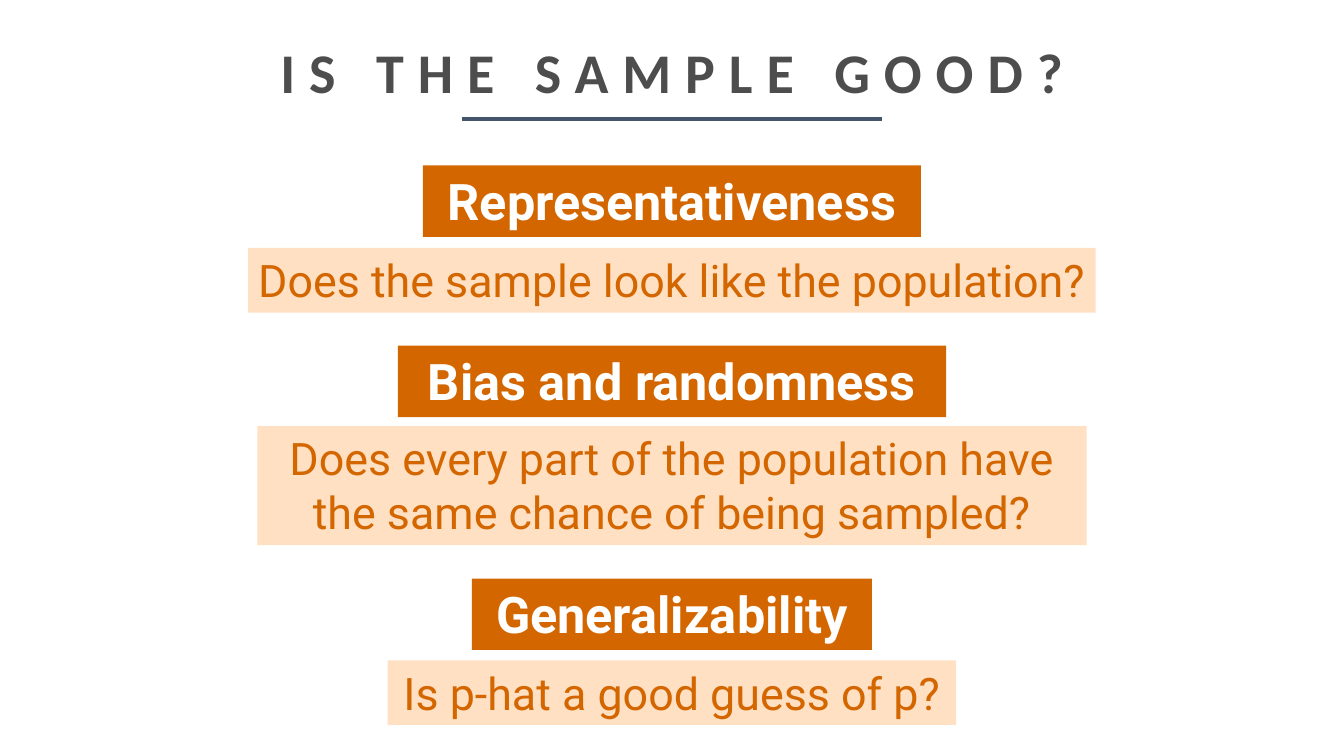
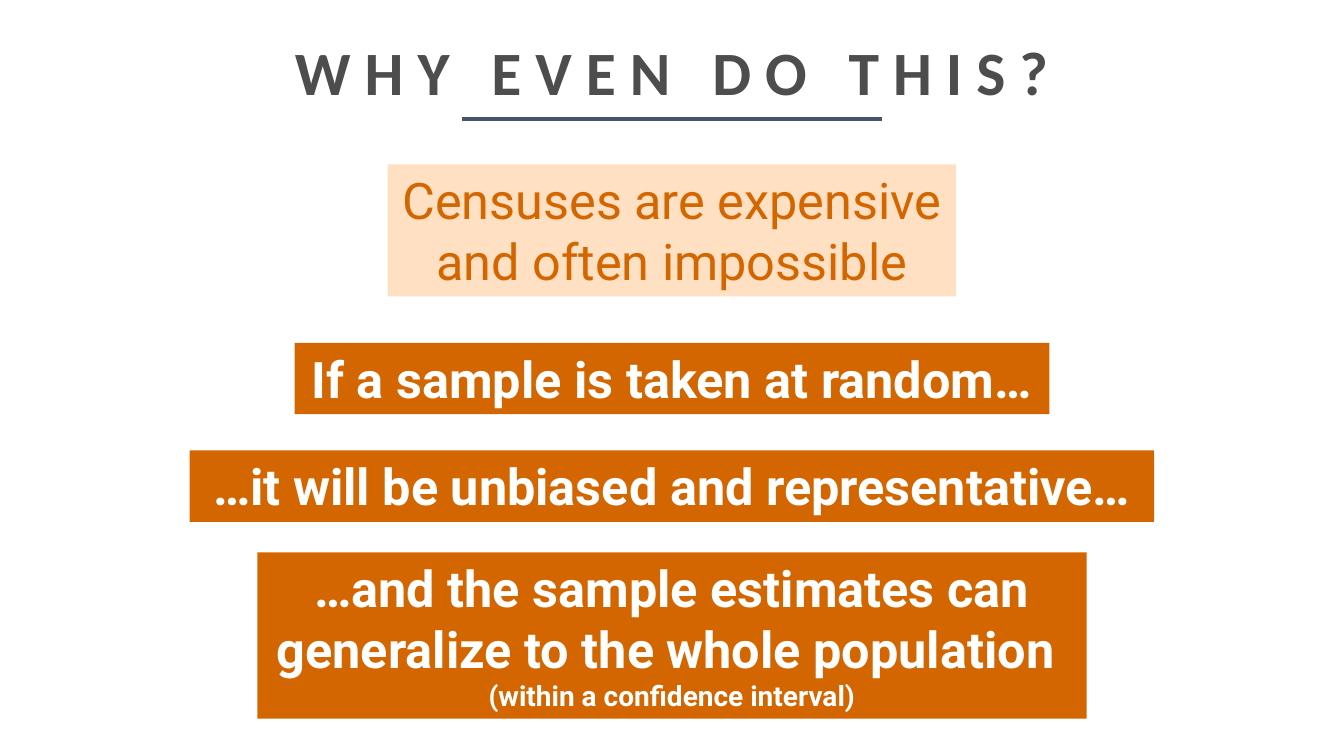
from lxml.etree import SubElement
from pptx import Presentation
from pptx.dml.color import RGBColor
from pptx.enum.shapes import MSO_CONNECTOR as Connector, MSO_SHAPE as Shape
from pptx.enum.text import MSO_ANCHOR as Anchor, MSO_AUTO_SIZE as AutoSize, PP_ALIGN as Align
from pptx.oxml.ns import qn
from pptx.util import Cm, Pt

WIDTH, HEIGHT = 33.87, 19.05
GRAY, NAVY, ORANGE, PEACH, WHITE = "4D4D4D", "44546A", "D46600", "FFE0C3", "FFFFFF"
RULE_WIDTH = 10.6

# Box styles: fill, text colour, bold
HEADING = (ORANGE, WHITE, True)
DETAIL = (PEACH, ORANGE, False)

# Slides: title, title size, boxes
# Boxes: style, top, width, height, text size, text, small last line
SLIDES = [
    ("IS THE SAMPLE GOOD?", 40, [
        (HEADING, 4.17, 12.55, 1.8, 36, "Representativeness", ""),
        (DETAIL, 6.25, 21.36, 1.63, 32, "Does the sample look like the population?", ""),
        (HEADING, 8.71, 13.82, 1.8, 36, "Bias and randomness", ""),
        (DETAIL, 10.74, 20.9, 3, 32,
         "Does every part of the population have the same chance of being sampled?", ""),
        (HEADING, 14.58, 10.08, 1.8, 36, "Generalizability", ""),
        (DETAIL, 16.64, 14.33, 1.63, 32, "Is p-hat a good guess of p?", ""),
    ]),
    ("WHY EVEN DO THIS?", 44, [
        (DETAIL, 4.14, 14.33, 3.33, 36, "Censuses are expensive and often impossible", ""),
        (HEADING, 8.64, 19.02, 1.8, 36, "If a sample is taken at random…", ""),
        (HEADING, 11.35, 24.31, 1.8, 36, "…it will be unbiased and representative…", ""),
        (HEADING, 13.92, 20.9, 4.19, 36,
         "…and the sample estimates can generalize to the whole population ",
         "(within a confidence interval)"),
    ]),
]


def rgb(value):
    return RGBColor.from_string(value)


def set_font(font, name, size, color, bold):
    font.name, font.size, font.bold = name, Pt(size), bold
    font.color.rgb = rgb(color)


prs = Presentation()
prs.slide_width, prs.slide_height = Cm(WIDTH), Cm(HEIGHT)

for title, title_size, boxes in SLIDES:
    s = prs.slides.add_slide(prs.slide_layouts[6])

    tf = s.shapes.add_textbox(0, Cm(0.43), Cm(WIDTH), Cm(2.54)).text_frame
    tf.word_wrap = True
    tf.vertical_anchor = Anchor.MIDDLE
    p = tf.paragraphs[0]
    p.alignment, p.line_spacing = Align.CENTER, 1.1
    r = p.add_run()
    r.text = title
    set_font(p.font, "Calibri", title_size, GRAY, True)
    r.font.bold = True
    r.font._element.set("spc", "1000")

    left = (WIDTH - RULE_WIDTH) / 2
    rule = s.shapes.add_connector(
        Connector.STRAIGHT, Cm(left), Cm(3), Cm(left + RULE_WIDTH), Cm(3))
    rule.line.color.rgb, rule.line.width = rgb(NAVY), Pt(3)
    SubElement(rule._element.spPr, qn("a:effectLst"))

    for (fill, color, bold), top, width, height, size, text, small in boxes:
        sp = s.shapes.add_shape(
            Shape.RECTANGLE, Cm((WIDTH - width) / 2), Cm(top), Cm(width), Cm(height))
        sp.shadow.inherit = False
        sp.fill.solid()
        sp.fill.fore_color.rgb = rgb(fill)
        sp.line.fill.background()
        tf = sp.text_frame
        tf.word_wrap, tf.auto_size = True, AutoSize.SHAPE_TO_FIT_TEXT
        tf.vertical_anchor = Anchor.TOP
        p = tf.paragraphs[0]
        p.alignment = Align.CENTER
        p.add_run().text = text
        set_font(p.font, "Roboto", size, color, bold)
        if small:
            p.add_line_break()
            r = p.add_run()
            r.text, r.font.size = small, Pt(20)

prs.save("out.pptx")
